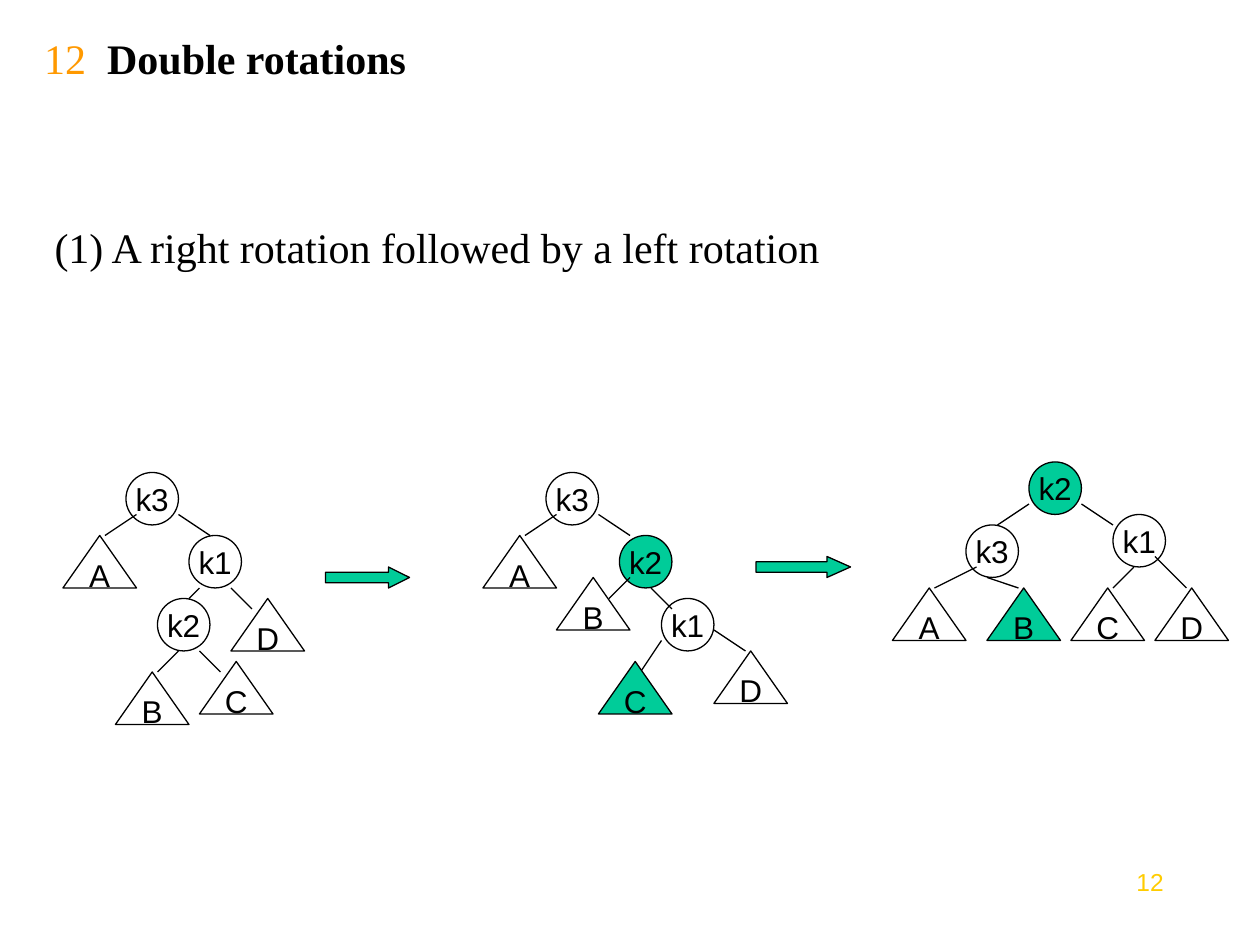
from dataclasses import dataclass

import pptx
import pptx.dml.color
import pptx.enum.shapes
import pptx.enum.text
import pptx.oxml
import pptx.oxml.ns
import pptx.util
from pptx.util import Cm

SHAPE = pptx.enum.shapes.MSO_SHAPE
ALIGN = pptx.enum.text.PP_ALIGN
ANCHOR = pptx.enum.text.MSO_ANCHOR

BLACK, GREEN, ORANGE, YELLOW = "000000", "00CC99", "FF9900", "FFCC00"
UNIT = 2.54 / 12  # the drawing grid, in centimetres


@dataclass
class Node:
    label: str
    x: int
    y: int
    fill: str = ""


@dataclass
class Edge:
    x1: int
    y1: int
    x2: int
    y2: int


@dataclass
class Arrow:
    x: int
    y: int
    width: int
    head: float


@dataclass
class Span:
    text: str
    size: int
    font: str
    color: str
    bold: bool = False


# Each tree is listed from back to front, in grid units
TREES = [
    [Edge(13, 49, 10, 51), Edge(17, 49, 20, 51), Edge(22, 56, 24, 58),
     Node("A", 6, 51), Node("D", 22, 57), Node("k1", 18, 51), Node("k3", 12, 45),
     Edge(17, 62, 15, 64), Edge(19, 62, 21, 64),
     Node("B", 11, 64), Node("C", 19, 63), Node("k2", 15, 57),
     Edge(19, 56, 18, 57)],
    [Edge(53, 49, 50, 51), Edge(57, 49, 60, 51), Edge(62, 56, 64, 58),
     Node("A", 46, 51), Node("D", 68, 62), Node("k1", 63, 57), Node("k3", 52, 45),
     Edge(63, 61, 61, 64), Edge(68, 60, 71, 62),
     Node("B", 53, 55), Node("C", 57, 63, GREEN), Node("k2", 59, 51, GREEN),
     Edge(60, 55, 58, 57)],
    [Edge(98, 48, 95, 50), Edge(103, 48, 106, 50), Edge(110, 53, 113, 56),
     Node("A", 85, 56), Node("D", 110, 56), Node("k1", 106, 49),
     Node("k2", 98, 44, GREEN), Edge(108, 54, 106, 56),
     Node("B", 94, 56, GREEN), Node("C", 102, 56), Node("k3", 92, 50),
     Edge(93, 54, 89, 56), Edge(94, 55, 97, 56)],
]
ARROWS = [Arrow(31, 54, 8, 1.0), Arrow(72, 53, 9, 1.12)]


def rgb(color: str) -> pptx.dml.color.RGBColor:
    return pptx.dml.color.RGBColor.from_string(color)


def grid(n: float) -> int:
    return Cm(n * UNIT)


def add_spans(p, spans: list[Span]) -> None:
    for span in spans:
        r = p.add_run()
        r.text = span.text
        r.font.size = pptx.util.Pt(span.size)
        r.font.name = span.font
        r.font.bold = span.bold
        r.font.color.rgb = rgb(span.color)


def add_text(shapes, box: tuple, spans: list[Span], anchor, align=ALIGN.LEFT) -> None:
    s = shapes.add_textbox(*(Cm(v) for v in box))
    tf = s.text_frame
    tf.word_wrap = True
    tf.vertical_anchor = anchor
    tf.paragraphs[0].alignment = align
    add_spans(tf.paragraphs[0], spans)


def set_line(line) -> None:
    line.color.rgb = rgb(BLACK)
    line.width = pptx.util.Pt(0.74)


def add_outlined(shapes, kind, x: int, y: int, w: int, h: int, fill: str):
    s = shapes.add_shape(kind, grid(x), grid(y), grid(w), grid(h))
    s.shadow.inherit = False
    if fill:
        s.fill.solid()
        s.fill.fore_color.rgb = rgb(fill)
    else:
        s.fill.background()
    set_line(s.line)
    return s


def add_node(shapes, node: Node) -> None:
    inner = node.label.startswith("k")
    kind, width = (SHAPE.OVAL, 5) if inner else (SHAPE.ISOSCELES_TRIANGLE, 7)
    s = add_outlined(shapes, kind, node.x, node.y, width, 5, node.fill)
    tf = s.text_frame
    tf.word_wrap = False
    tf.vertical_anchor = ANCHOR.MIDDLE
    tf.paragraphs[0].alignment = ALIGN.CENTER
    add_spans(tf.paragraphs[0], [Span(node.label, 18, "Arial", BLACK)])


def add_edge(shapes, edge: Edge) -> None:
    s = shapes.add_connector(pptx.enum.shapes.MSO_CONNECTOR.STRAIGHT, grid(edge.x1),
                             grid(edge.y1), grid(edge.x2), grid(edge.y2))
    set_line(s.line)
    s._element.spPr.append(pptx.oxml.parse_xml(
        f"<a:effectLst {pptx.oxml.ns.nsdecls('a')}/>"))


def add_tree(shapes, parts: list) -> None:
    group = shapes.add_group_shape()
    for part in parts:
        if isinstance(part, Node):
            add_node(group.shapes, part)
        else:
            add_edge(group.shapes, part)


prs = pptx.Presentation()
prs.slide_width, prs.slide_height = Cm(25.4), Cm(19.05)
shapes = prs.slides.add_slide(prs.slide_layouts[6]).shapes

# Slide number, title and subtitle
add_text(shapes, (22.02, 17.36, 1.69, 1.32), [Span("12", 14, "Arial", YELLOW)],
         ANCHOR.TOP, ALIGN.RIGHT)
add_text(shapes, (0.64, 0.64, 21.59, 1.06),
         [Span("12  ", 24, "Times New Roman", ORANGE),
          Span("Double rotations", 24, "Times New Roman", BLACK, True)], ANCHOR.MIDDLE)
add_text(shapes, (0.85, 2.96, 23.7, 2.65),
         [Span("(1) A right rotation followed by a left rotation", 24,
               "Times New Roman", BLACK)], ANCHOR.BOTTOM)

# Trees before, between and after the two rotations
for tree in TREES:
    add_tree(shapes, tree)

# Arrows between the trees
for arrow in ARROWS:
    s = add_outlined(shapes, SHAPE.RIGHT_ARROW, arrow.x, arrow.y, arrow.width, 2, GREEN)
    s.adjustments[0], s.adjustments[1] = 0.5, arrow.head

prs.save("out.pptx")
